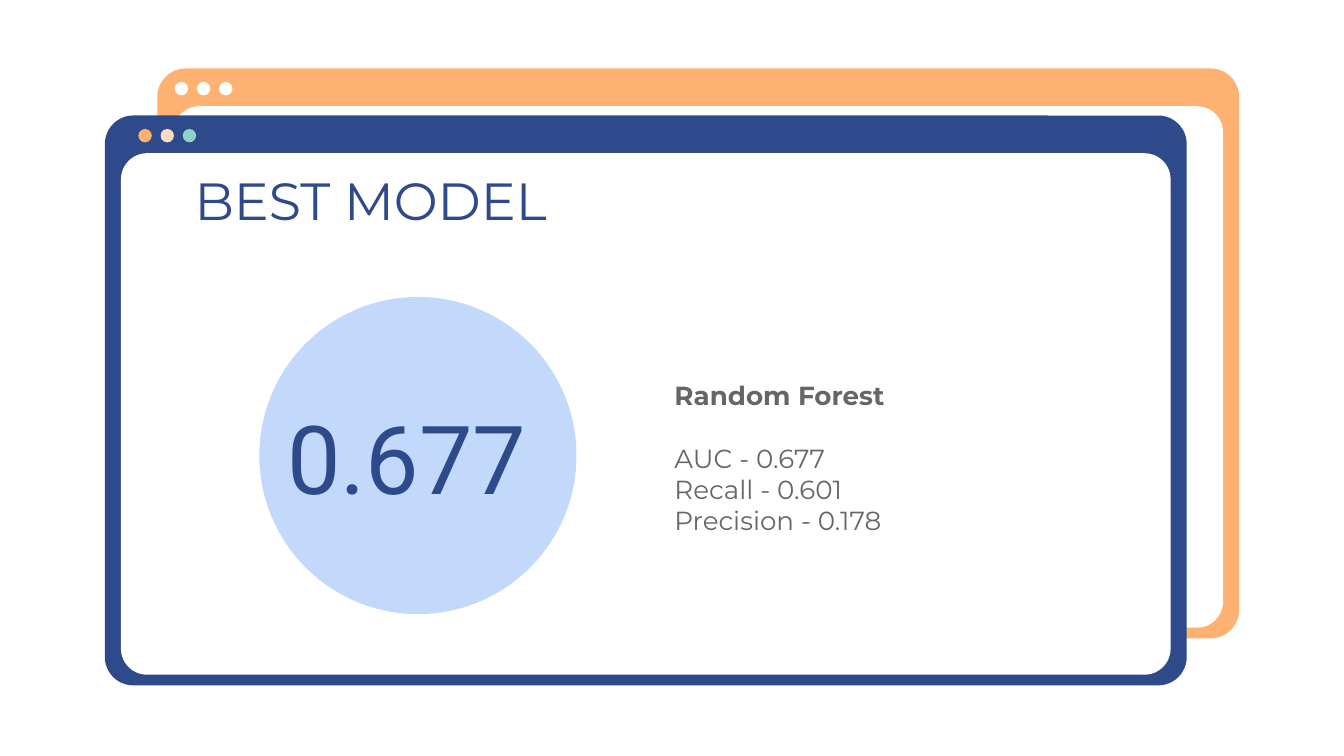
from pptx import Presentation
from pptx.dml.color import RGBColor
from pptx.enum import shapes, text
from pptx.util import Inches, Pt

COLORS = {
    "orange": "FFB172",
    "navy": "2F4A8A",
    "white": "FFFFFF",
    "peach": "F8DBC4",
    "mint": "90D1CB",
    "sky": "C3D9FB",
    "grey": "666666",
}
BUTTON_SIZE = 0.1
BUTTON_PITCH = 0.33 / 2


def add_solid(slide, preset, box, color, corner=None):
    solid = slide.shapes.add_shape(preset, *map(Inches, box))
    solid.shadow.inherit = False
    solid.fill.solid()
    solid.fill.fore_color.rgb = RGBColor.from_string(COLORS[color])
    solid.line.fill.background()
    if corner is not None:
        solid.adjustments[0] = corner


def add_window(slide, left, top, frame_color, buttons_left, button_colors):
    """Draw a browser window: frame, white page and a row of round buttons."""
    rounded = shapes.MSO_SHAPE.ROUNDED_RECTANGLE
    add_solid(slide, rounded, (left, top, 8.05, 4.24), frame_color, 0.05)
    add_solid(slide, rounded, (left + 0.12, top + 0.28, 7.81, 3.88), "white", 0.05)
    for index, color in enumerate(button_colors):
        button = (buttons_left + index * BUTTON_PITCH, top + 0.1, BUTTON_SIZE, BUTTON_SIZE)
        add_solid(slide, shapes.MSO_SHAPE.OVAL, button, color)


def add_text(slide, box, lines, anchor=text.MSO_ANCHOR.TOP):
    """Add a text box from (wording, space before in points, font format) lines."""
    frame = slide.shapes.add_textbox(*map(Inches, box)).text_frame
    frame.word_wrap = True
    frame.vertical_anchor = anchor
    for side in ("left", "top", "right", "bottom"):
        setattr(frame, f"margin_{side}", Inches(0.1))
    for index, (wording, space_before, font_format) in enumerate(lines):
        paragraph = frame.add_paragraph() if index else frame.paragraphs[0]
        paragraph.alignment = text.PP_ALIGN.LEFT
        if space_before:
            paragraph.space_before = Pt(space_before)
        run = paragraph.add_run()
        run.text = wording
        for name, value in font_format.items():
            if name == "color":
                run.font.color.rgb = RGBColor.from_string(COLORS[value])
            else:
                setattr(run.font, name, value)


def main():
    presentation = Presentation()
    presentation.slide_width = Inches(10)
    presentation.slide_height = presentation.slide_width * 9 // 16
    slide = presentation.slides.add_slide(presentation.slide_layouts[6])

    add_window(slide, 1.17, 0.51, "orange", 1.3, ["white"] * 3)
    add_window(slide, 0.78, 0.86, "navy", 1.03, ["orange", "peach", "mint"])

    heading = {"name": "Montserrat", "size": Pt(28), "color": "navy"}
    add_text(slide, (1.35, 1.15, 7.36, 0.51), [("BEST MODEL", 0, heading)])

    add_solid(slide, shapes.MSO_SHAPE.OVAL, (1.93, 2.21, 2.36, 2.36), "sky")
    score = {"name": "Roboto", "size": Pt(51), "color": "navy"}
    add_text(slide, (2.04, 2.72, 2.36, 1.35), [("0.677", 0, score)], text.MSO_ANCHOR.MIDDLE)

    metric = {"name": "Montserrat", "size": Pt(14), "color": "grey", "bold": False}
    add_text(slide, (4.92, 2.72, 2.62, 1.86), [
        ("Random Forest", 0, {**metric, "bold": True}),
        ("AUC - 0.677", 17, metric),
        ("Recall - 0.601", 0, metric),
        ("Precision - 0.178", 0, metric),
    ])

    presentation.save("out.pptx")


if __name__ == "__main__":
    main()
